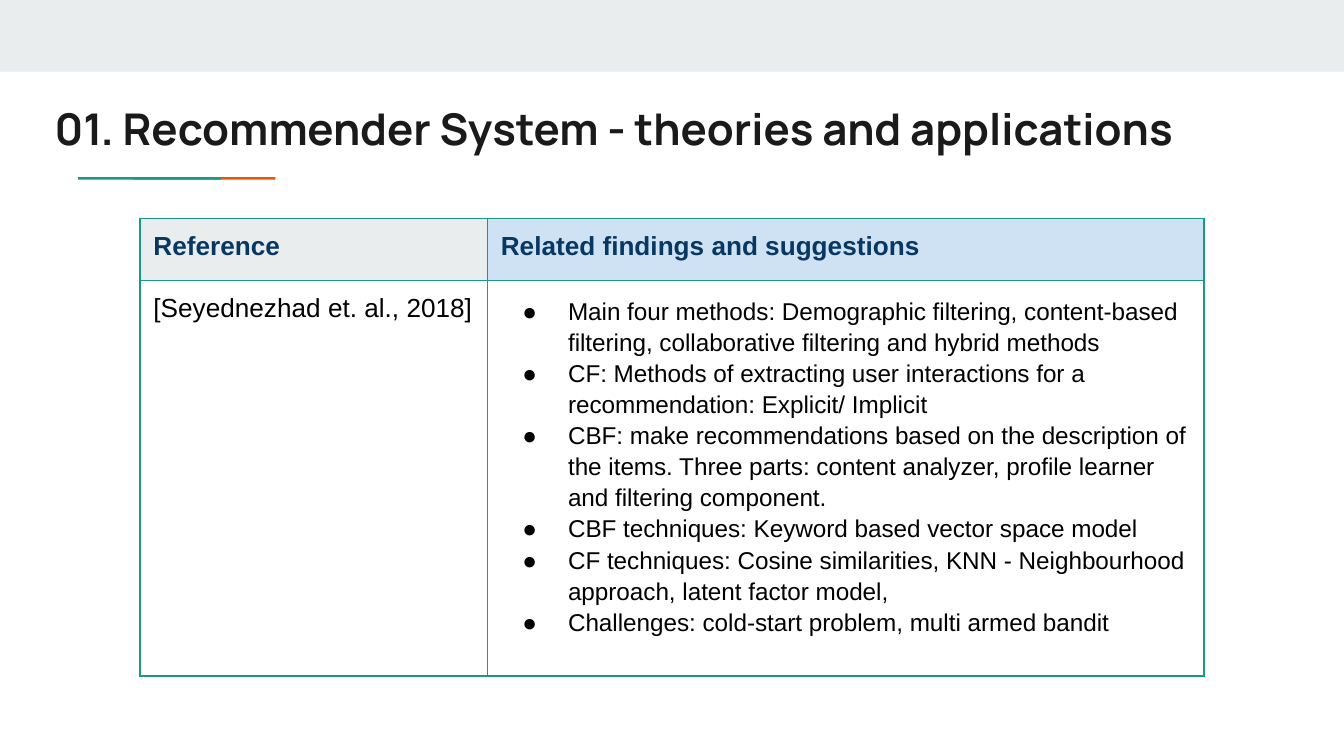
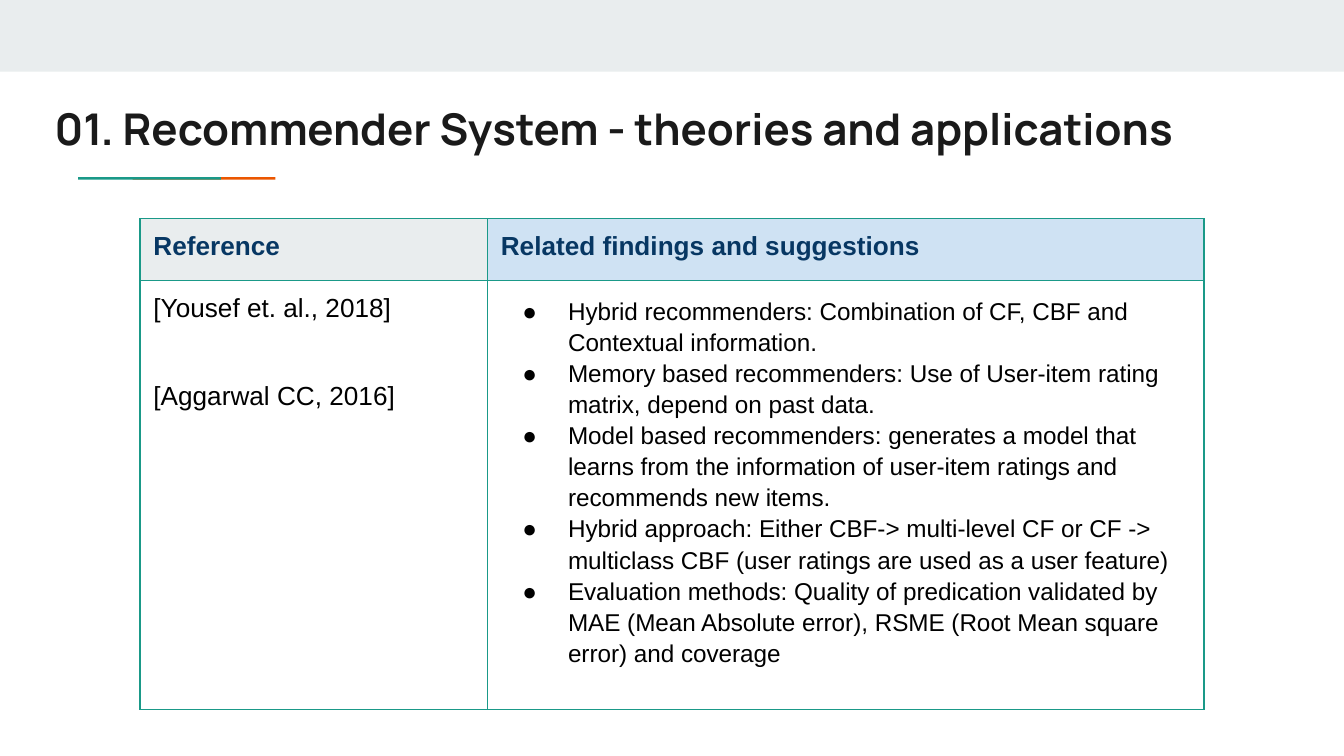
from typing import NamedTuple

from lxml.etree import SubElement
from pptx import Presentation
from pptx.dml.color import RGBColor
from pptx.enum.shapes import MSO_SHAPE
from pptx.oxml import parse_xml
from pptx.oxml.ns import nsdecls, qn
from pptx.util import Pt

INK, BLACK, NAVY = "1A1A1A", "000000", "073763"
GREY, SKY, TEAL, ORANGE = "E9EDEE", "CFE2F3", "1A9988", "EB5600"
HEAD_FONT, BODY_FONT = "Manrope", "Arial"
INSET = Pt(7.2)
COLS = (186.1, 383.9)
ROWS = (33.2, 118.8)
SIDE = 236.2
TITLE = "01. Recommender System - theories and applications"
HEADS = (("Reference", GREY), ("Related findings and suggestions", SKY))


class Bar(NamedTuple):
    left: float
    top: float
    width: float
    height: float
    fill: str


class Page(NamedTuple):
    refs: list[str]
    points: list[str]


BARS = [
    Bar(0, 0, 720, 38.4, GREY),
    Bar(71, 94.9, 76.5, 1.4, ORANGE),
    Bar(41.9, 94.9, 76.5, 1.4, TEAL),
]

PAGES = [
    Page(
        ["[Seyednezhad et. al., 2018]"],
        [
            "Main four methods: Demographic filtering, content-based filtering, "
            "collaborative filtering and hybrid methods",
            "CF: Methods of extracting user interactions for a recommendation: "
            "Explicit/ Implicit",
            "CBF: make recommendations based on the description of the items. "
            "Three parts: content analyzer, profile learner and filtering component.",
            "CBF techniques: Keyword based vector space model",
            "CF techniques: Cosine similarities, KNN - Neighbourhood approach, "
            "latent factor model,",
            "Challenges: cold-start problem, multi armed bandit",
        ],
    ),
    Page(
        ["[Yousef et. al., 2018]", "[Aggarwal CC, 2016]"],
        [
            "Hybrid recommenders: Combination of CF, CBF and Contextual information.",
            "Memory based recommenders: Use of User-item rating matrix, "
            "depend on past data.",
            "Model based recommenders: generates a model that learns from the "
            "information of user-item ratings and recommends new items.",
            "Hybrid approach: Either CBF-> multi-level CF or CF -> multiclass CBF "
            "(user ratings are used as a user feature)",
            "Evaluation methods: Quality of predication validated by MAE (Mean "
            "Absolute error), RSME (Root Mean square error) and coverage",
        ],
    ),
]


def color(code: str) -> RGBColor:
    return RGBColor.from_string(code)


def paint(item, code: str) -> None:
    item.fill.solid()
    item.fill.fore_color.rgb = color(code)


def pad(item) -> None:
    item.margin_left = item.margin_right = INSET
    item.margin_top = item.margin_bottom = INSET


def bullet(para) -> None:
    """Hang the paragraph behind a black dot."""
    props = para._p.get_or_add_pPr()
    props.set("marL", str(Pt(36)))
    props.set("indent", str(Pt(-24.5)))
    tint = SubElement(props, qn("a:buClr"))
    SubElement(tint, qn("a:srgbClr"), val=BLACK)
    SubElement(props, qn("a:buFont"), typeface=BODY_FONT)
    SubElement(props, qn("a:buChar"), char="●")


def write(frame, lines: list[str], *, size: float = 14, font: str = BODY_FONT,
          ink: str = BLACK, bold: bool = False, gap: float = 0,
          dots: bool = False) -> None:
    """Fill a frame with one paragraph per line, gap points apart."""
    for i, line in enumerate(lines):
        para = frame.add_paragraph() if i else frame.paragraphs[0]
        if dots:
            para.line_spacing = 1.15
        if i and gap:
            para.space_before = Pt(gap)
        if dots:
            bullet(para)
        run = para.add_run()
        run.text = line
        run.font.name = font
        run.font.size = Pt(size)
        run.font.bold = bold
        run.font.color.rgb = color(ink)


def edge(cell) -> None:
    """Draw the four borders, which must precede the cell's fill."""
    props = cell._tc.get_or_add_tcPr()
    for i, side in enumerate("LRTB"):
        props.insert(i, parse_xml(
            f'<a:ln{side} {nsdecls("a")} w="{Pt(0.75)}"><a:solidFill>'
            f'<a:srgbClr val="{TEAL}"/></a:solidFill></a:ln{side}>'))


def draw_bar(slide, bar: Bar) -> None:
    shape = slide.shapes.add_shape(
        MSO_SHAPE.RECTANGLE, Pt(bar.left), Pt(bar.top), Pt(bar.width), Pt(bar.height))
    shape.shadow.inherit = False
    paint(shape, bar.fill)
    shape.line.fill.background()


def draw_title(slide) -> None:
    frame = slide.shapes.add_textbox(Pt(22.1), Pt(47.5), Pt(654.5), Pt(42.5)).text_frame
    frame.word_wrap = True
    pad(frame)
    write(frame, [TITLE], size=23.4, font=HEAD_FONT, ink=INK, bold=True)


def draw_table(slide, page: Page) -> None:
    """Build the table; its second row grows to fit the text."""
    frame = slide.shapes.add_table(2, 2, Pt(75), Pt(117.2), Pt(SIDE), Pt(SIDE))
    table = frame.table
    table.horz_banding = False
    for col, width in zip(table.columns, COLS):
        col.width = Pt(width)
    for row, height in zip(table.rows, ROWS):
        row.height = Pt(height)
    frame.width = frame.height = Pt(SIDE)
    for cell in table.iter_cells():
        pad(cell)
        cell.fill.background()
        edge(cell)
    for i, (text, fill) in enumerate(HEADS):
        head = table.cell(0, i)
        paint(head, fill)
        write(head.text_frame, [text], ink=NAVY, bold=True)
    write(table.cell(1, 0).text_frame, page.refs, gap=31.3)
    write(table.cell(1, 1).text_frame, page.points, size=13, dots=True)


def main() -> None:
    deck = Presentation()
    deck.slide_width, deck.slide_height = Pt(720), Pt(405)
    for page in PAGES:
        slide = deck.slides.add_slide(deck.slide_layouts[6])
        for bar in BARS:
            draw_bar(slide, bar)
        draw_title(slide)
        draw_table(slide, page)
    deck.save("out.pptx")


if __name__ == "__main__":
    main()
